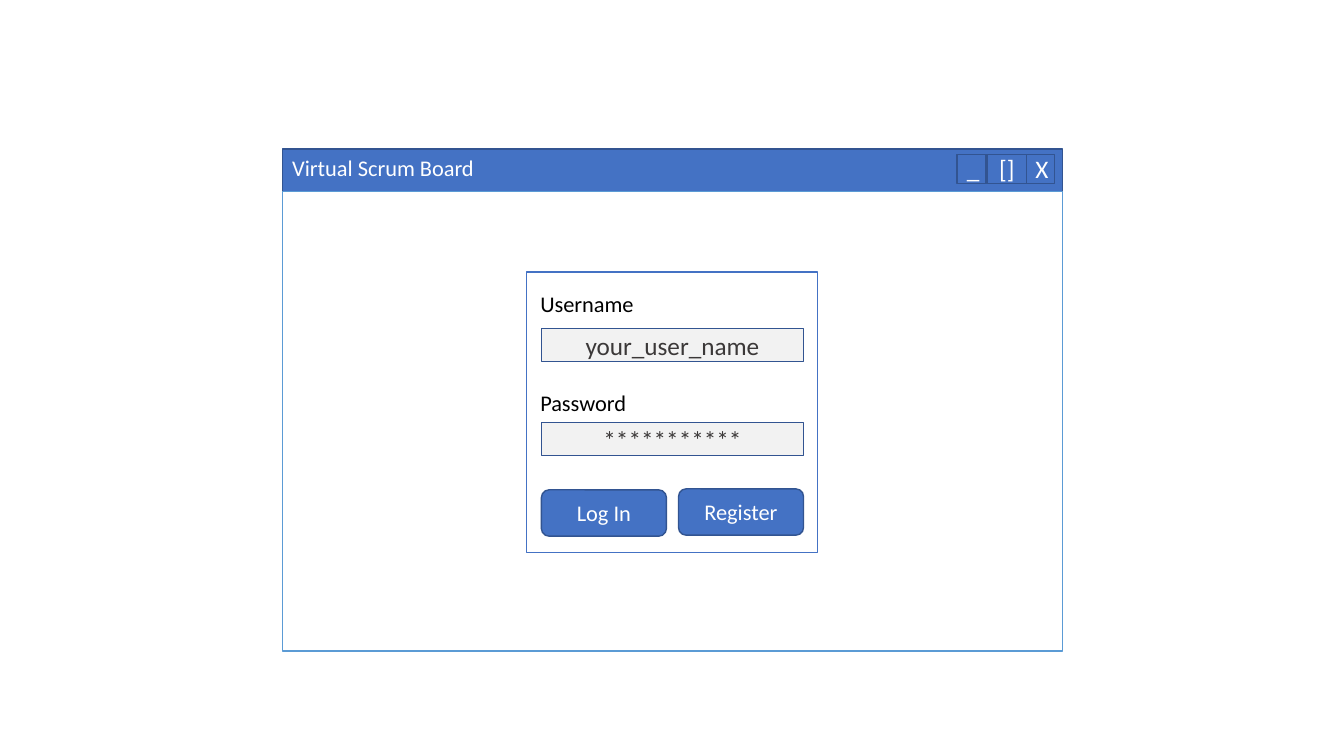
from pptx import Presentation
from pptx.dml.color import RGBColor
from pptx.enum.shapes import MSO_SHAPE
from pptx.enum.text import MSO_ANCHOR, MSO_AUTO_SIZE, PP_ALIGN
from pptx.util import Inches, Pt

RECT = MSO_SHAPE.RECTANGLE
ROUNDED = MSO_SHAPE.ROUNDED_RECTANGLE
MIDDLE = MSO_ANCHOR.MIDDLE
CENTER = PP_ALIGN.CENTER
LEFT = PP_ALIGN.LEFT
FIT_TEXT = MSO_AUTO_SIZE.SHAPE_TO_FIT_TEXT

BLUE = "4472C4"
DARK_BLUE = "325491"
LIGHT_BLUE = "5B9BD5"
WHITE = "FFFFFF"
BLACK = "000000"
FIELD_GREY = "F2F2F2"
FIELD_TEXT = "3B3838"


def color(hex_string):
    return RGBColor.from_string(hex_string)


class Mockup:
    """Draws window parts on one slide in a shared style."""

    font = "Calibri"
    line_width = Pt(1)

    def __init__(self, slide):
        self.shapes = slide.shapes

    def add_text(self, frame, text, size, text_color, align):
        frame.word_wrap = True
        paragraph = frame.paragraphs[0]
        paragraph.alignment = align
        run = paragraph.add_run()
        run.text = text
        run.font.name = self.font
        run.font.size = Pt(size)
        run.font.color.rgb = color(text_color)

    def box(self, left, top, width, height, fill, line, kind=RECT):
        shape = self.shapes.add_shape(
            kind, Inches(left), Inches(top), Inches(width), Inches(height))
        shape.shadow.inherit = False
        shape.fill.solid()
        shape.fill.fore_color.rgb = color(fill)
        shape.line.color.rgb = color(line)
        shape.line.width = self.line_width
        return shape

    def control(self, left, top, width, height, text, size=18,
                fill=BLUE, text_color=WHITE, kind=RECT):
        """Box with a centred caption: a button or an input field."""
        shape = self.box(left, top, width, height, fill, DARK_BLUE, kind)
        shape.text_frame.vertical_anchor = MIDDLE
        self.add_text(shape.text_frame, text, size, text_color, CENTER)

    def label(self, left, top, width, text, text_color):
        frame = self.shapes.add_textbox(
            Inches(left), Inches(top), Inches(width), Inches(0.37)).text_frame
        self.add_text(frame, text, 16, text_color, LEFT)
        frame.auto_size = FIT_TEXT


def main():
    prs = Presentation()
    prs.slide_width = Inches(13.33)
    prs.slide_height = Inches(7.5)
    mockup = Mockup(prs.slides.add_slide(prs.slide_layouts[6]))

    # Window
    window_left, window_top, window_width = 2.8, 1.48, 7.74
    mockup.box(window_left, window_top, window_width, 0.43, BLUE, DARK_BLUE)
    mockup.box(window_left, 1.9, window_width, 4.56, WHITE, LIGHT_BLUE)
    for left, width, symbol in ((10.17, 0.29, "X"), (9.79, 0.39, "[]"),
                                (9.49, 0.29, "_")):
        mockup.control(left, 1.53, width, 0.29, symbol)
    mockup.label(window_left, window_top, 6.46, "Virtual Scrum Board", WHITE)

    # Login form
    mockup.box(5.22, 2.7, 2.89, 2.78, WHITE, BLUE)
    for label_top, field_top, caption, entry in (
            (2.83, 3.26, "Username", "your_user_name"),
            (3.81, 4.19, "Password", "***********")):
        mockup.label(5.26, label_top, 2.71, caption, BLACK)
        mockup.control(5.37, field_top, 2.6, 0.33, entry,
                       fill=FIELD_GREY, text_color=FIELD_TEXT)
    for left, top, action in ((5.37, 4.86, "Log In"), (6.73, 4.85, "Register")):
        mockup.control(left, top, 1.24, 0.46, action, size=16, kind=ROUNDED)

    prs.save("out.pptx")


if __name__ == "__main__":
    main()
